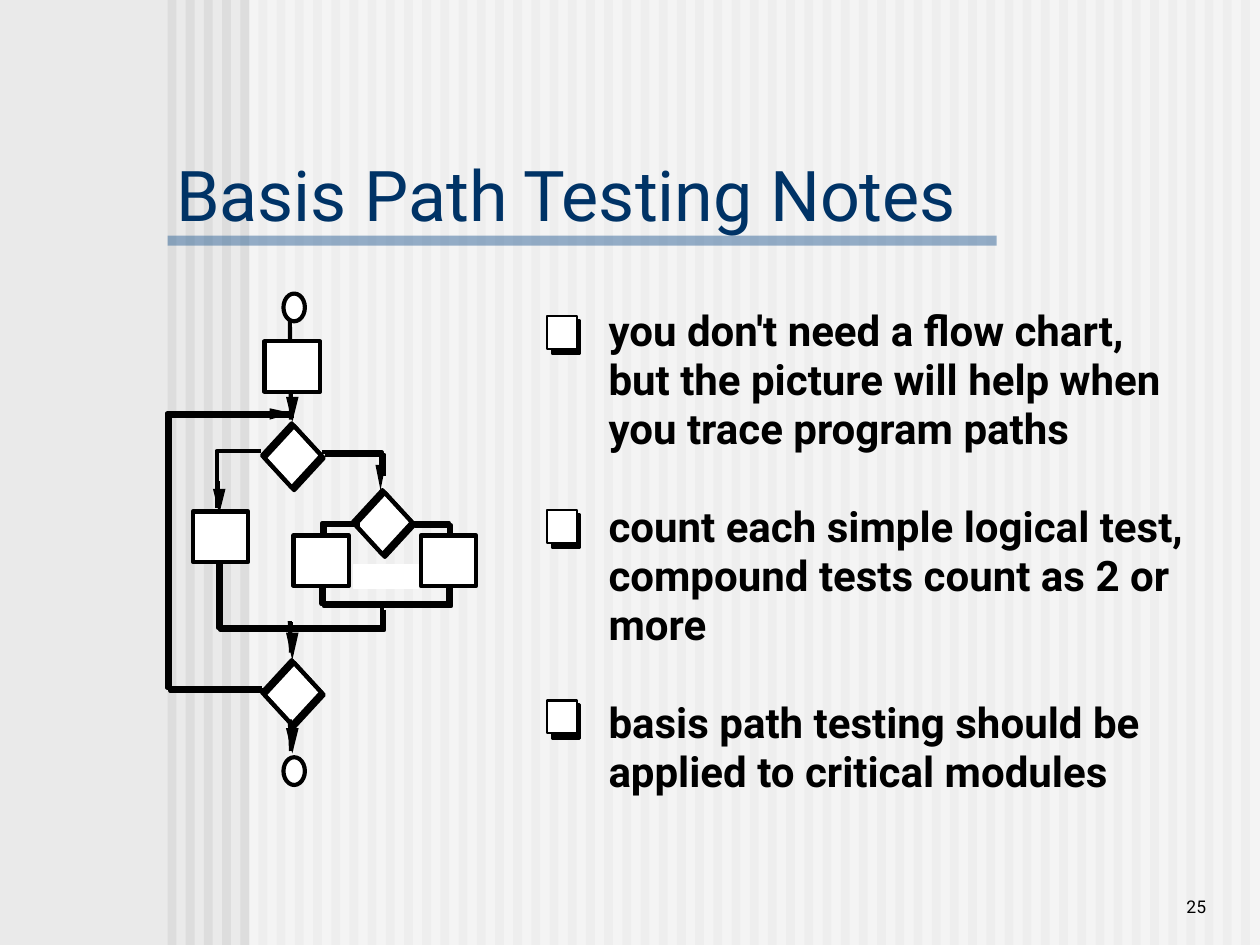
from dataclasses import dataclass

from lxml.etree import SubElement as Sub
from pptx import Presentation
from pptx.dml.color import RGBColor as Rgb
from pptx.enum.shapes import MSO_CONNECTOR as Conn, MSO_SHAPE as Kind
from pptx.enum.text import MSO_ANCHOR as Anchor, PP_ALIGN as Align
from pptx.oxml.ns import qn
from pptx.util import Inches, Pt

HUES = {"back": "EAEAEA", "stripe": "DDDDDD", "white": "FFFFFF",
        "black": "000000", "rule": "336699", "title": "003366"}
FONT = "Roboto"
THICK, THIN = 2.38, 1.38
SHIFT = 0.02


@dataclass
class Box:
    x: float
    y: float
    w: float
    h: float


@dataclass
class Route:
    points: list
    twin: bool = True


@dataclass
class Tip:
    x: float
    y: float
    half: float
    size: float
    stem: float


@dataclass
class Note:
    text: str
    top: float
    mark: float
    rows: int


def hue(name: str) -> Rgb:
    return Rgb.from_string(HUES[name])


def style(shape, fill: str | None, line: str | None, width: float, alpha: int = 100) -> None:
    shape.shadow.inherit = False
    if fill:
        shape.fill.solid()
        shape.fill.fore_color.rgb = hue(fill)
    else:
        shape.fill.background()
    if alpha < 100:
        color = shape.fill._xPr.find(qn("a:solidFill"))[0]
        Sub(color, qn("a:alpha"), val=str(alpha * 1000))
    if line:
        shape.line.color.rgb = hue(line)
        shape.line.width = Pt(width)
    else:
        shape.line.fill.background()


def draw(slide, kind: Kind, box: Box, fill: str | None, line: str | None = None,
         width: float = THICK, alpha: int = 100) -> None:
    shape = slide.shapes.add_shape(kind, Inches(box.x), Inches(box.y),
                                   Inches(box.w), Inches(box.h))
    style(shape, fill, line, width, alpha)


def trace(slide, points: list, fill: str | None = None, close: bool = False) -> None:
    first, *rest = [(Inches(x), Inches(y)) for x, y in points]
    pen = slide.shapes.build_freeform(*first)
    pen.add_line_segments(rest, close=close)
    style(pen.convert_to_shape(), fill, None if fill else "black", THICK)


def route(slide, way: Route) -> None:
    trace(slide, way.points)
    if way.twin:
        trace(slide, [(x - SHIFT, y - SHIFT) for x, y in way.points])


def link(slide, start: tuple, end: tuple, width: float = THICK) -> None:
    line = slide.shapes.add_connector(Conn.STRAIGHT, *map(Inches, start + end))
    line.line.color.rgb = hue("black")
    line.line.width = Pt(width)
    Sub(line._element.spPr, qn("a:effectLst"))


def diamond(slide, box: Box) -> None:
    draw(slide, Kind.DIAMOND, box, "white", "black")
    draw(slide, Kind.DIAMOND, Box(box.x - SHIFT, box.y - SHIFT, box.w, box.h), None, "black")


def arrow(slide, tip: Tip) -> None:
    base = tip.y - tip.size
    trace(slide, [(tip.x, tip.y), (tip.x - tip.half, base), (tip.x + tip.half, base)],
          "black", True)
    link(slide, (tip.x, base - tip.stem), (tip.x, base), THIN)


def write(slide, box: Box, text: str, size: float, color: str = "black",
          bold: bool = False, wrap: bool = True, pad: tuple = (0, 0)):
    area = slide.shapes.add_textbox(Inches(box.x), Inches(box.y), Inches(box.w), Inches(box.h))
    frame = area.text_frame
    frame.word_wrap = wrap
    frame.margin_left = frame.margin_right = Inches(pad[0])
    frame.margin_top = frame.margin_bottom = Inches(pad[1])
    para = frame.paragraphs[0]
    para.text = text
    font = para.font
    font.name, font.size, font.bold = FONT, Pt(size), bold
    font.color.rgb = hue(color)
    return frame


def note(slide, item: Note) -> None:
    draw(slide, Kind.RECTANGLE, Box(4.38, item.mark + 0.03, 0.22, 0.27), "black", "black", THIN)
    draw(slide, Kind.RECTANGLE, Box(4.34, item.mark, 0.24, 0.26), "white", "black", THIN)
    frame = write(slide, Box(4.83, item.top, 4.6, item.rows * 0.39), item.text, 24, bold=True)
    frame.paragraphs[0].line_spacing = Pt(28)


def backdrop(slide) -> None:
    slide.background.fill.solid()
    slide.background.fill.fore_color.rgb = hue("back")
    count, first, last = 60, 1.33, 9.85
    for i in range(count):
        x = first + i * (last - first) / (count - 1)
        draw(slide, Kind.RECTANGLE, Box(x, 0, 0.07, 7.5), "stripe")
    draw(slide, Kind.RECTANGLE, Box(1.98, 0, 8.02, 7.5), "white", alpha=50)
    draw(slide, Kind.RECTANGLE, Box(1.33, 1.87, 6.58, 0.08), "rule", alpha=50)


def chart(slide) -> None:
    for x, y in ((2.82, 3.91), (2.1, 3.38), (2.1, 5.26)):
        diamond(slide, Box(x, y, 0.47, 0.51))
    for way in (
        Route([(2.58, 3.61), (3.05, 3.61), (3.05, 3.78)]),
        Route([(2.07, 3.58), (1.72, 3.58), (1.72, 4.03)], False),
        Route([(3.29, 4.17), (3.58, 4.17), (3.58, 4.42)]),
        Route([(2.86, 4.17), (2.58, 4.17), (2.58, 4.5)]),
        Route([(2.57, 4.65), (2.57, 4.81), (3.58, 4.81), (3.58, 4.65)]),
        Route([(3.05, 4.84), (3.05, 5), (1.75, 5), (1.75, 4.47)]),
        Route([(2.1, 5.48), (1.35, 5.48), (1.35, 3.3), (2.33, 3.3)]),
    ):
        route(slide, way)
    for top, end in ((2.52, 3.33), (4.93, 5.18), (5.71, 5.96)):
        link(slide, (2.3, top), (2.31, end))
    for x, y in ((2.1, 2.71), (2.33, 4.25), (3.34, 4.25), (1.53, 4.06)):
        draw(slide, Kind.RECTANGLE, Box(x, y, 0.44, 0.4), "white", "black")
    for y in (2.33, 6.01):
        draw(slide, Kind.OVAL, Box(2.25, y, 0.17, 0.22), "white", "black")
    for tip in (Tip(3.02, 3.89, 0.04, 0.2, 0.1), Tip(1.74, 4.08, 0.05, 0.2, 0.06),
                Tip(2.32, 5.24, 0.05, 0.22, 0.08), Tip(2.32, 3.35, 0.05, 0.2, 0.01),
                Tip(2.32, 5.98, 0.05, 0.2, 0.01)):
        arrow(slide, tip)
    trace(slide, [(2.32, 3.28), (2.14, 3.33), (2.14, 3.24)], "black", True)
    draw(slide, Kind.RECTANGLE, Box(2.81, 4.48, 0.51, 0.19), "white", "white", 1)


def main() -> None:
    deck = Presentation()
    deck.slide_width, deck.slide_height = Inches(10), Inches(7.5)
    slide = deck.slides.add_slide(deck.slide_layouts[6])
    backdrop(slide)
    page = write(slide, Box(8.25, 6.83, 1.42, 0.5), "25", 10, pad=(0.1, 0.05))
    page.vertical_anchor = Anchor.BOTTOM
    page.paragraphs[0].alignment = Align.RIGHT
    write(slide, Box(1.33, 1.17, 6.38, 0.72), "Basis Path Testing Notes", 40, "title",
          wrap=False, pad=(0.07, 0.03))
    chart(slide)
    for item in (
        Note("you don't need a flow chart, but the picture will help when "
             "you trace program paths", 2.43, 2.51, 3),
        Note("count each simple logical test, compound tests count as 2 or more", 3.98, 4.05, 3),
        Note("basis path testing should be applied to critical modules", 5.54, 5.56, 2),
    ):
        note(slide, item)
    deck.save("out.pptx")


if __name__ == "__main__":
    main()
